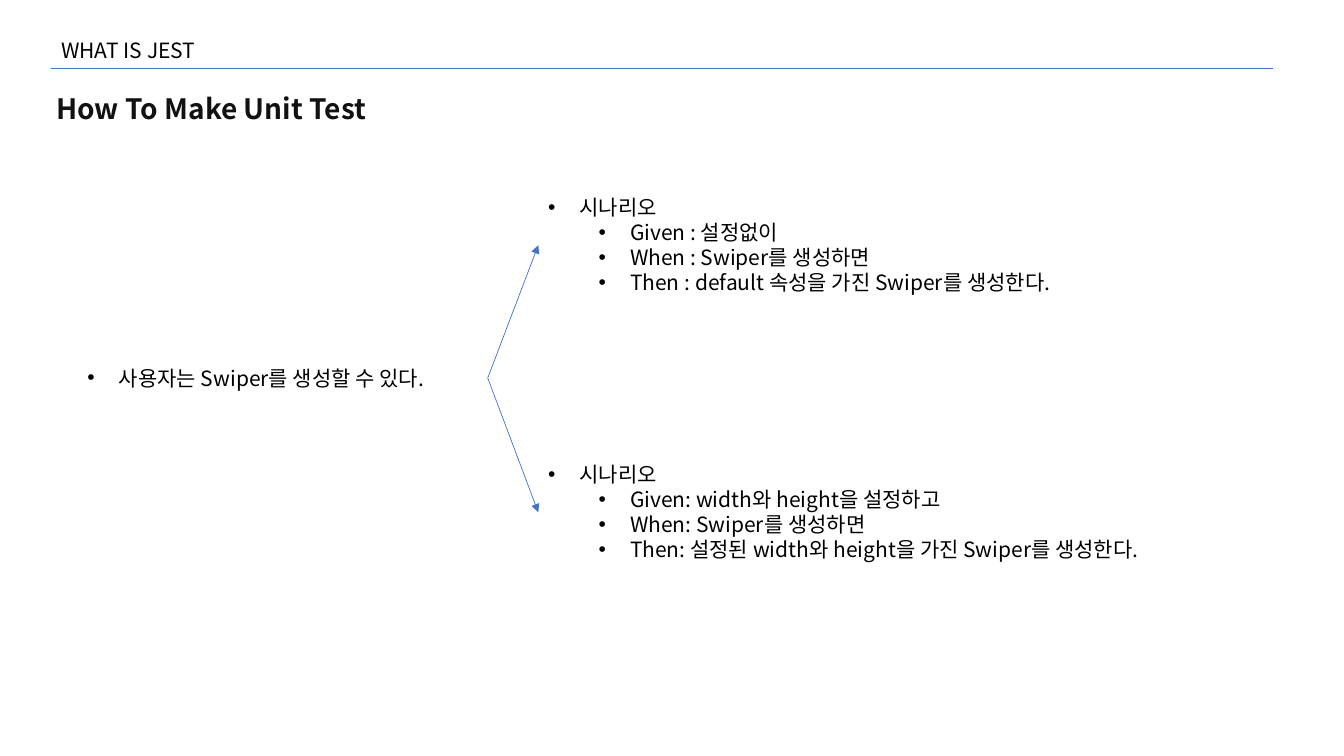
"""Build the unit test slide: one user story branching into two scenarios."""
import pptx
import pptx.dml.color
import pptx.enum.dml
import pptx.enum.shapes
import pptx.enum.text
import pptx.oxml.ns
import pptx.util
from lxml import etree

Pt = pptx.util.Pt
qn = pptx.oxml.ns.qn
FONT = "Noto Sans CJK KR"


def rgb(value):
    return pptx.dml.color.RGBColor.from_string(value)


def add_text(box, lines, color="000000", **font):
    sp = slide.shapes.add_textbox(*map(Pt, box))
    tf = sp.text_frame
    tf.word_wrap = False
    tf.auto_size = pptx.enum.text.MSO_AUTO_SIZE.SHAPE_TO_FIT_TEXT
    for i, (text, indent) in enumerate(lines):
        p = tf.paragraphs[0] if i == 0 else tf.add_paragraph()
        r = p.add_run()
        r.text = text
        for name, value in {"name": FONT, "size": Pt(15), **font}.items():
            setattr(r.font, name, value)
        r.font.color.rgb = rgb(color)
        etree.SubElement(r._r.get_or_add_rPr(), qn("a:ea"), typeface=FONT)
        if indent:
            p.level = int(indent > 30)
            pPr = p._p.get_or_add_pPr()
            pPr.set("marL", str(Pt(indent)))
            pPr.set("indent", str(-Pt(22.5)))
            etree.SubElement(pPr, qn("a:buFont"), typeface="Arial")
            etree.SubElement(pPr, qn("a:buChar"), char="•")
    return sp


prs = pptx.Presentation()
prs.slide_width, prs.slide_height = Pt(960), Pt(540)
slide = prs.slides.add_slide(prs.slide_layouts[6])

title = add_text((36.7, 61.2, 276.5, 31.7), [("How To Make Unit Test", 0)],
                 "111111", size=Pt(20), bold=True)
title_format = {"margin_left": Pt(3.6), "margin_right": Pt(3.6),
                "margin_top": Pt(3.6), "margin_bottom": Pt(3.6),
                "vertical_anchor": pptx.enum.text.MSO_ANCHOR.MIDDLE}
for name, value in title_format.items():
    setattr(title.text_frame, name, value)

add_text((36.7, 23, 175.7, 25.4), [("WHAT IS JEST", 0)])
story = add_text((55.4, 257.3, 293, 25.4), [("사용자는 Swiper를 생성할 수 있다.", 22.5)])

scenarios = [
    (135.2, 393.1, ["Given : 설정없이",
                    "When : Swiper를 생성하면",
                    "Then : default 속성을 가진 Swiper를 생성한다."]),
    (326, 468, ["Given: width와 height을 설정하고",
                  "When: Swiper를 생성하면",
                  "Then: 설정된 width와 height을 가진 Swiper를 생성한다."]),
]
straight = pptx.enum.shapes.MSO_CONNECTOR.STRAIGHT
lines = [slide.shapes.add_connector(straight, Pt(36.7), Pt(49), Pt(909.4), Pt(49))]
for top, width, steps in scenarios:
    scenario = add_text((384.5, top, width, 79.9),
                        [("시나리오", 22.5)] + [(step, 58.5) for step in steps])
    arrow = slide.shapes.add_connector(straight, 0, 0, 0, 0)
    arrow.begin_connect(story, 3)
    arrow.end_connect(scenario, 1)
    lines.append(arrow)

for line in lines:
    line.line.color.rgb = rgb("4472C4")
    line.line.width = Pt(0.5)
    etree.SubElement(line._element.spPr, qn("a:effectLst"))
for arrow in lines[1:]:
    etree.SubElement(arrow.line._get_or_add_ln(), qn("a:tailEnd"), type="triangle")

prs.save("out.pptx")
